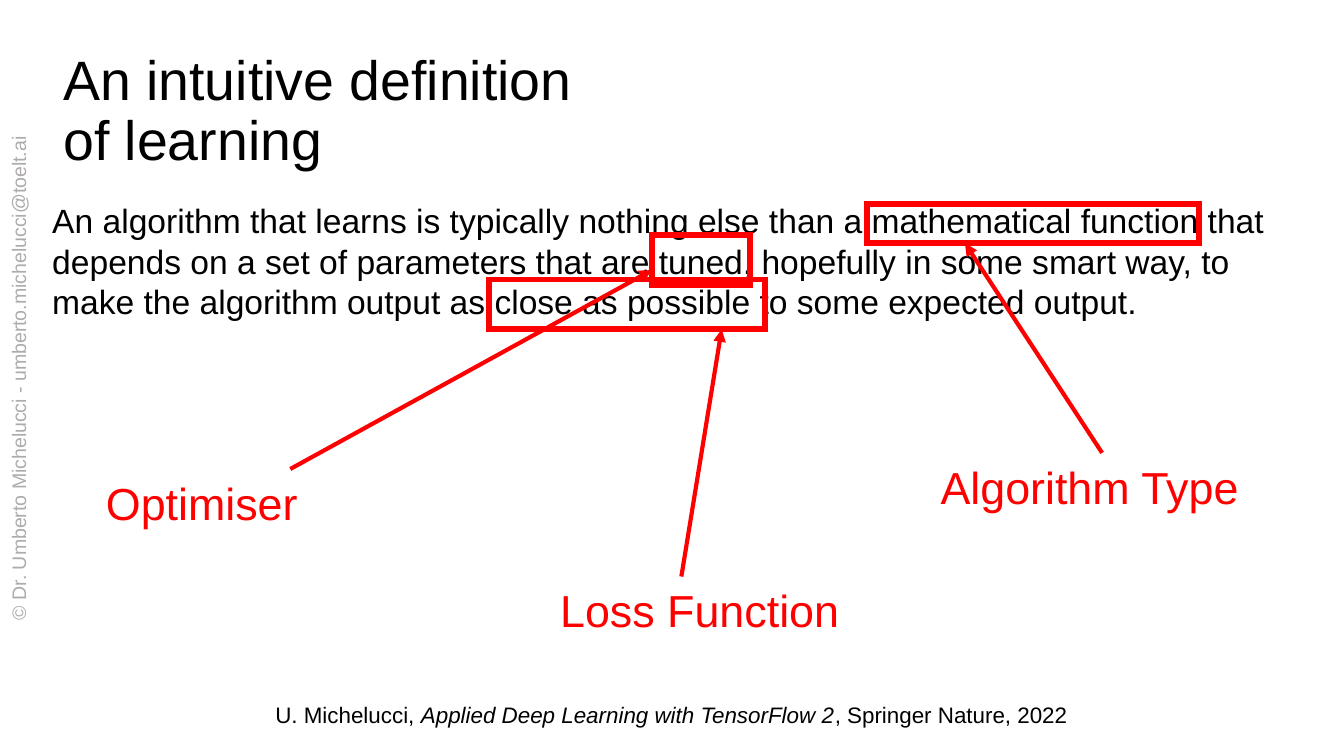
from dataclasses import dataclass

from lxml import etree
from pptx import Presentation
from pptx.dml.color import RGBColor
from pptx.enum.shapes import MSO_CONNECTOR as Connector, MSO_SHAPE as Shape
from pptx.enum.text import MSO_ANCHOR as Anchor, MSO_AUTO_SIZE as AutoSize, PP_ALIGN as Align
from pptx.oxml.ns import qn
from pptx.util import Inches, Pt

COLORS = {"text": "000000", "accent": "FF0000", "muted": "AFABAB"}
FONT = "Arial"


@dataclass
class Box:
    left: float
    top: float
    width: float
    height: float

    def emu(self) -> list:
        return [Inches(v) for v in (self.left, self.top, self.width, self.height)]


@dataclass
class Callout:
    label: str
    label_box: Box
    phrase_box: Box
    start: tuple[float, float]
    tip: tuple[float, float]
    wrap: bool = True
    joined: bool = True


CALLOUTS = [
    Callout("Loss Function", Box(4.07, 4.29, 2.3, 0.5), Box(3.64, 2.08, 2.05, 0.37),
            (5.07, 4.29), (5.37, 2.45), wrap=False, joined=False),
    Callout("Optimiser", Box(0.69, 3.49, 2.94, 0.5), Box(4.85, 1.75, 0.73, 0.37),
            (2.16, 3.49), (4.85, 2.01)),
    Callout("Algorithm Type", Box(6.9, 3.37, 2.6, 0.5), Box(6.45, 1.52, 2.47, 0.29),
            (8.2, 3.37), (7.18, 1.81)),
]


def rgb(name: str) -> RGBColor:
    return RGBColor.from_string(COLORS[name])


def format_runs(paragraph, size: float, color: str) -> None:
    for run in paragraph.runs:
        run.font.name = FONT
        run.font.size = Pt(size)
        run.font.color.rgb = rgb(color)


def add_text(slide, box: Box, text: str, size: float, color: str = "text", wrap: bool = True):
    textbox = slide.shapes.add_textbox(*box.emu())
    frame = textbox.text_frame
    frame.word_wrap = wrap
    frame.auto_size = AutoSize.SHAPE_TO_FIT_TEXT
    frame.text = text
    format_runs(frame.paragraphs[0], size, color)
    return textbox


def add_title(slide, box: Box, text: str) -> None:
    title = slide.shapes.title
    title.left, title.top, title.width, title.height = box.emu()
    frame = title.text_frame
    frame.text = text
    frame.word_wrap = True
    frame.auto_size = AutoSize.NONE
    frame.vertical_anchor = Anchor.MIDDLE
    heading = frame.paragraphs[0]
    heading.alignment = Align.LEFT
    heading.line_spacing = 0.9
    format_runs(heading, 29.7, "text")


def format_line(line, width: float):
    line.color.rgb = rgb("accent")
    line.width = Pt(width)
    outline = line._get_or_add_ln()
    etree.SubElement(outline, qn("a:miter"), lim="800000")
    return outline


def add_callout(slide, callout: Callout) -> None:
    label = add_text(slide, callout.label_box, callout.label, 24, "accent", callout.wrap)

    frame = slide.shapes.add_shape(Shape.RECTANGLE, *callout.phrase_box.emu())
    frame.shadow.inherit = False
    frame.fill.background()
    format_line(frame.line, 3)

    ends = [Inches(v) for v in (*callout.start, *callout.tip)]
    arrow = slide.shapes.add_connector(Connector.STRAIGHT, *ends)
    if callout.joined:
        arrow.begin_connect(label, 0)
    outline = format_line(arrow.line, 2.25)
    etree.SubElement(outline, qn("a:tailEnd"), type="triangle")
    etree.SubElement(arrow._element.spPr, qn("a:effectLst"))


def main() -> None:
    deck = Presentation()
    deck.slide_width = Inches(10)
    deck.slide_height = deck.slide_width * 9 // 16
    slide = deck.slides.add_slide(deck.slide_layouts[5])

    add_title(slide, Box(0.37, 0.29, 4.02, 1.09), "An intuitive definition of learning")
    add_text(slide, Box(0.29, 1.44, 9.55, 1.01),
             "An algorithm that learns is typically nothing else than a mathematical function "
             "that depends on a set of parameters that are tuned, hopefully in some smart way, "
             "to make the algorithm output as close as possible to some expected output.", 18)

    citation = add_text(slide, Box(1.95, 5.17, 6.12, 0.3), "U. Michelucci, ", 12)
    source = citation.text_frame.paragraphs[0]
    for text, italic in (("Applied Deep Learning with TensorFlow 2", True),
                         (", Springer Nature, 2022", False)):
        run = source.add_run()
        run.text = text
        run.font.italic = italic
    format_runs(source, 12, "text")

    for callout in CALLOUTS:
        add_callout(slide, callout)

    copyright_line = add_text(slide, Box(-2.02, 2.67, 4.33, 0.29),
                              "© Dr. Umberto Michelucci - umberto.michelucci@toelt.ai", 10.5, "muted")
    copyright_line.rotation = 270
    copyright_line.text_frame.paragraphs[0].alignment = Align.CENTER

    deck.save("out.pptx")


if __name__ == "__main__":
    main()
